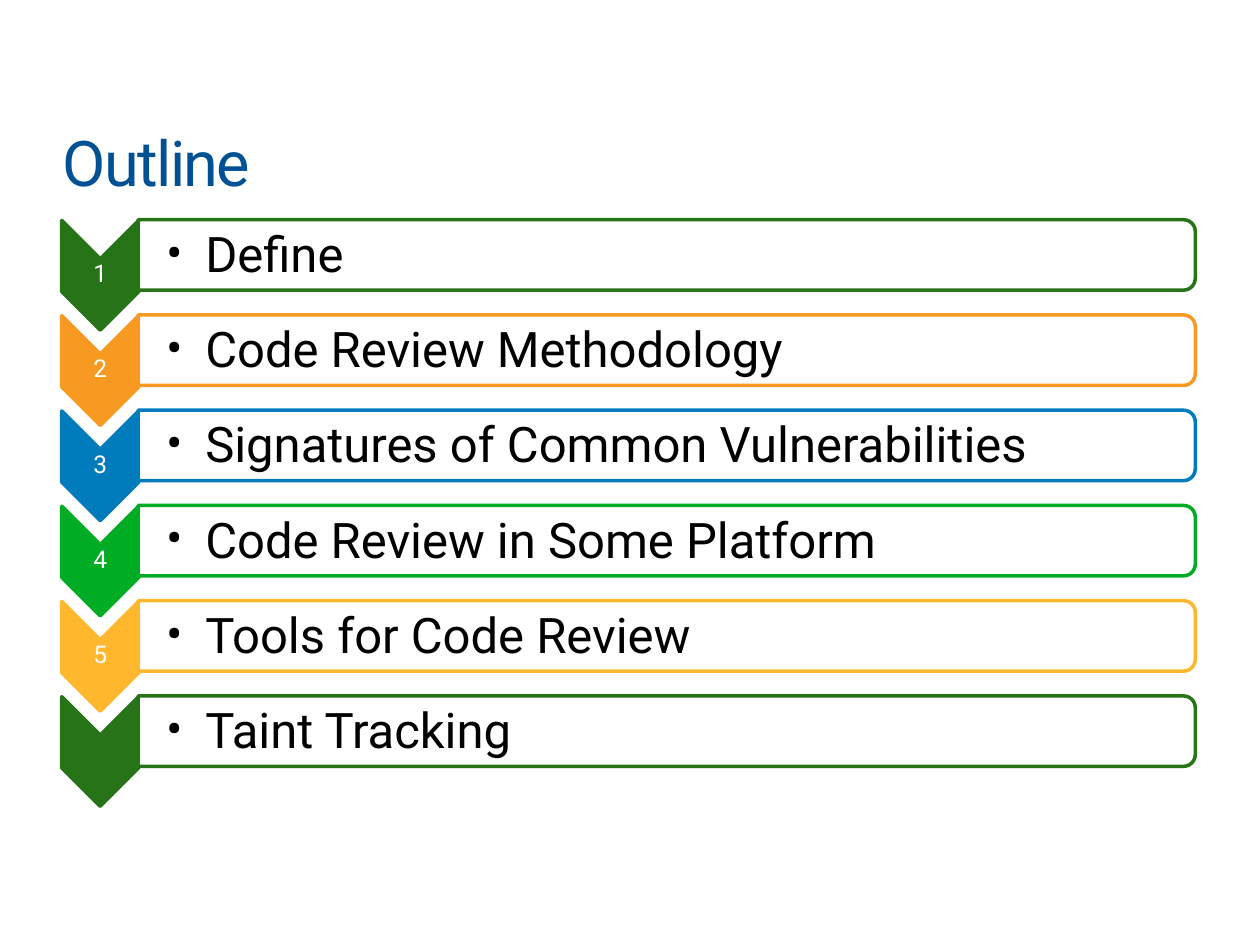
"""Build the outline slide: a numbered chevron and an outlined bar for each topic."""
import pptx
import pptx.dml.color
import pptx.enum.shapes
import pptx.enum.text
import pptx.oxml.ns
import pptx.util
from lxml import etree

Cm, Pt, qn = pptx.util.Cm, pptx.util.Pt, pptx.oxml.ns.qn
MSO = pptx.enum.shapes.MSO_SHAPE
ANCHOR = pptx.enum.text.MSO_ANCHOR
ALIGN = pptx.enum.text.PP_ALIGN

TITLE = "Outline"
TOPICS = [
    ("1", "Define", "277318"),
    ("2", "Code Review Methodology", "F89A21"),
    ("3", "Signatures of Common Vulnerabilities", "007CBD"),
    ("4", "Code Review in Some Platform", "00AC24"),
    ("5", "Tools for Code Review", "FFB82E"),
    ("", "Taint Tracking", "277318"),
]
STEP = 1.92
CHEVRON = dict(cx=2.02, cy=5.55, w=2.21, h=1.55)
BAR = dict(cx=13.44, cy=5.14, w=1.42, h=21.31)
NUMBER = dict(cx=2.02, cy=5.54, w=1.55, h=0.66)
TOPIC = dict(cx=13.42, cy=5.17, w=21.26, h=1.3)
HEADING = dict(cx=12.7, cy=3.27, w=22.86, h=1.55)

TITLE_FONT = dict(name="Roboto", size=Pt(36))
NUMBER_FONT = dict(name="Roboto", size=Pt(14))
TOPIC_FONT = dict(name="Roboto", size=Pt(28))


def rgb(c):
    return pptx.dml.color.RGBColor.from_string(c)


def apply(obj, fmt):
    for k, v in fmt.items():
        setattr(obj, k, v)


def place(box, dy=0):
    w, h = box["w"], box["h"]
    return [Cm(v) for v in (box["cx"] - w / 2, box["cy"] + dy - h / 2, w, h)]


def add_shape(s, kind, box, dy, fill, line):
    sp = s.shapes.add_shape(kind, *place(box, dy))
    sp.rotation = 90
    sp.shadow.inherit = False
    sp.fill.solid()
    sp.fill.fore_color.rgb = rgb(fill)
    sp.line.color.rgb = rgb(line)
    sp.line.width = Pt(2)
    return sp


def add_text(s, text, box, dy, font, color, anchor, margin=0.0, left=0.0, **para):
    tf = s.shapes.add_textbox(*place(box, dy)).text_frame
    apply(tf, dict(word_wrap=True, vertical_anchor=anchor, margin_left=Cm(left or margin),
                   margin_top=Cm(margin), margin_right=Cm(margin), margin_bottom=Cm(margin)))
    p = tf.paragraphs[0]
    apply(p, para)
    r = p.add_run()
    r.text = text
    apply(r.font, font)
    r.font.color.rgb = rgb(color)
    return p


def add_bullet(p):
    pPr = p._p.get_or_add_pPr()
    pPr.set("marL", str(Cm(0.79)))
    pPr.set("indent", str(-Cm(0.79)))
    etree.SubElement(pPr, qn("a:buFont")).set("typeface", "Roboto")
    etree.SubElement(pPr, qn("a:buChar")).set("char", "•")


def main():
    prs = pptx.Presentation()
    apply(prs, dict(slide_width=Cm(25.4), slide_height=Cm(19.05)))
    s = prs.slides.add_slide(prs.slide_layouts[6])

    p = add_text(s, TITLE, HEADING, 0, TITLE_FONT, "005194", ANCHOR.TOP)
    p.runs[0].font._element.set("spc", "-100")

    for i, (number, topic, color) in enumerate(TOPICS):
        dy = i * STEP
        add_shape(s, MSO.CHEVRON, CHEVRON, dy, color, color)
        if number:
            add_text(s, number, NUMBER, dy, NUMBER_FONT, "FFFFFF", ANCHOR.MIDDLE,
                     margin=0.03, alignment=ALIGN.CENTER, line_spacing=0.9)
        sp = add_shape(s, MSO.ROUND_2_SAME_RECTANGLE, BAR, dy, "FFFFFF", color)
        clr = sp.fill._xPr.find(qn("a:solidFill"))[0]
        etree.SubElement(clr, qn("a:alpha")).set("val", "90000")
        add_bullet(add_text(s, topic, TOPIC, dy, TOPIC_FONT, "000000", ANCHOR.MIDDLE,
                            margin=0.05, left=0.56, level=1, line_spacing=0.9))

    prs.save("out.pptx")


if __name__ == "__main__":
    main()
